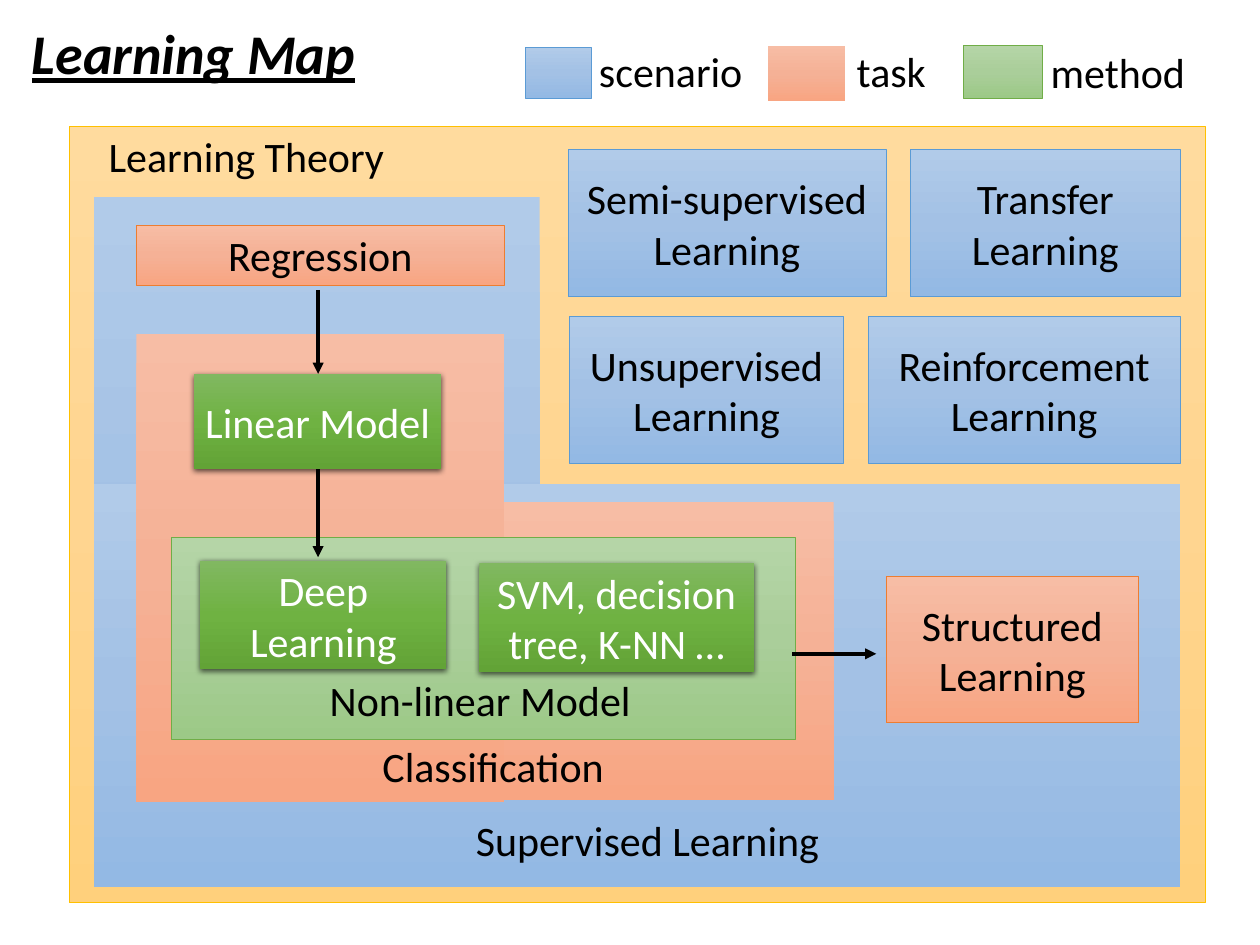
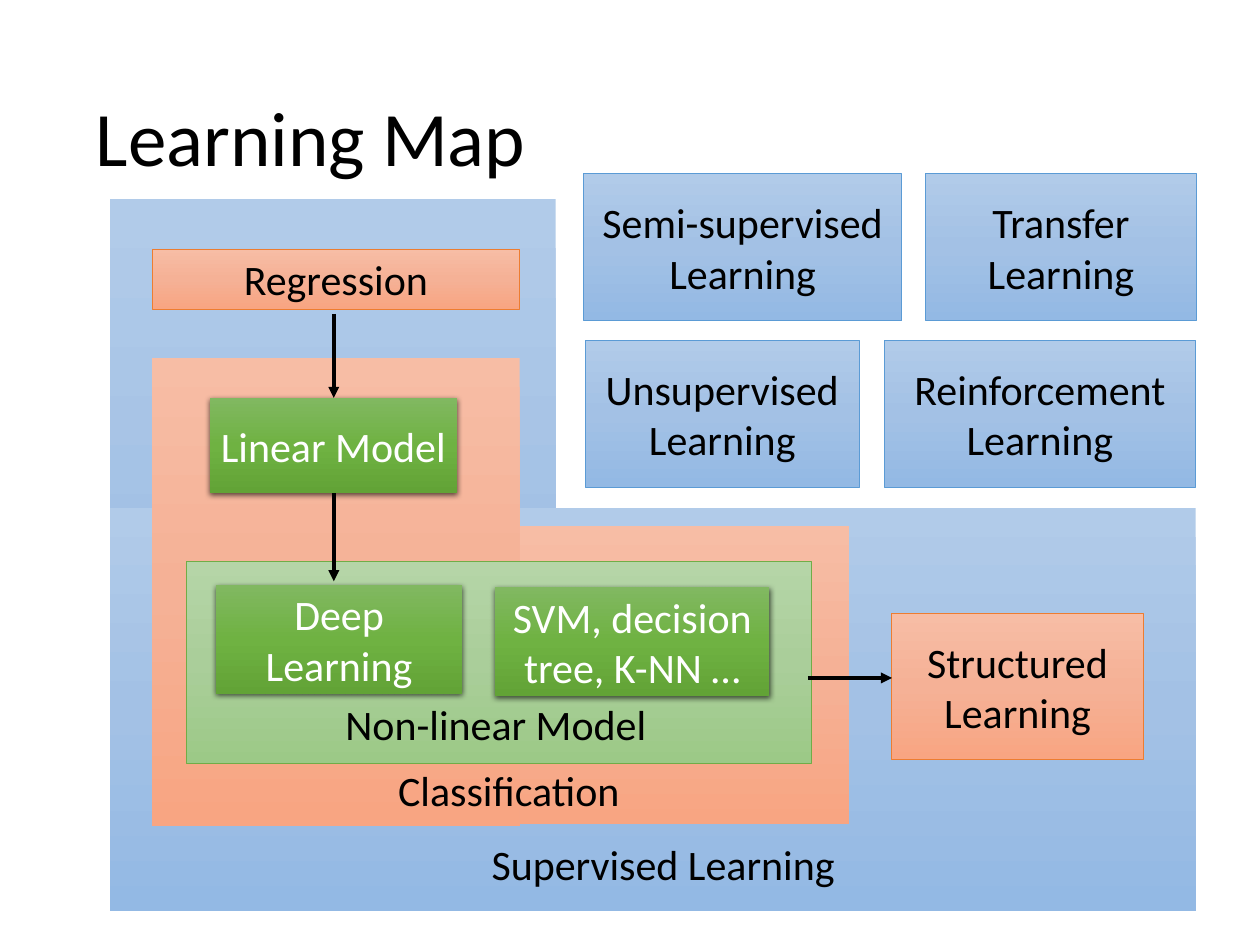
import copy

import pptx
import pptx.dml.color
import pptx.enum.shapes
import pptx.enum.text
import pptx.oxml
import pptx.oxml.ns
import pptx.util

Cm, Pt = pptx.util.Cm, pptx.util.Pt
ALIGN, ANCHOR = pptx.enum.text.PP_ALIGN, pptx.enum.text.MSO_ANCHOR

FONT, TEXT_SIZE = "Calibri", 34.1
LABEL_HEIGHT = 1.73
COLORS = {"text": "000000", "light": "FFFFFF", "theory": "FFC000",
          "scenario": "5B9BD5", "task": "ED7D31", "method": "70AD47"}
GRADIENTS = {
    "theory": ("FFDB9E", "FFD590", "FFD07C"),
    "scenario": ("B1CBE9", "A3C1E5", "93B9E4"),
    "task": ("F7BDA5", "F5B196", "F8A582"),
    "method": ("B5D5A7", "AACE9A", "9CC987"),
    "model": ("81B861", "6FB242", "62A336"),
}

# Left, top, width and height in cm, placed relative to each map's offset
SUPERVISED = (2.69, 13.87, 31.14, 11.58)
CLASSIFICATION = [(5.26, 14.4, 18.64, 8.53), (3.91, 9.58, 10.54, 13.41)]
NON_LINEAR = (4.9, 15.42, 17.91, 5.77)
REGRESSION = (3.91, 6.45, 10.54, LABEL_HEIGHT)
SCENARIO_HEIGHT = 4.22
SCENARIO_ROWS = [
    (4.29, [("Semi-supervised Learning", 16.28, 9.12), ("Transfer Learning", 26.09, 7.75)]),
    (9.07, [("Unsupervised Learning", 16.33, 7.85), ("Reinforcement Learning", 24.89, 8.94)]),
]
MODELS = [
    ("Linear Model", (5.56, 10.72, 7.09, 2.74)),
    ("Deep Learning", (5.74, 16.08, 7.06, 3.12)),
    ("SVM, decision tree, K-NN …", (13.74, 16.15, 7.87, 3.12)),
]
MAP_LABELS = [
    ("Supervised Learning", 11.84, 23.24, 13.44),
    ("Classification", 10.11, 21.11, 8.05),
    ("Non-linear Model", 8.76, 19.23, 10.01),
]
ARROWS = [(9.12, 8.31, 9.12, 10.72), (9.12, 13.46, 9.12, 15.98),
          (22.71, 18.75, 25.12, 18.75)]

THEORY = (1.98, 3.61, 32.56, 22.28)
LEGEND = [
    ("scenario", True, (15.06, 1.35, 1.88, 1.47), (16.92, 1.17, 5.13)),
    ("task", False, (22.02, 1.32, 2.21, 1.57), (24.31, 1.19, 2.84)),
    ("method", True, (27.61, 1.3, 2.26, 1.52), (29.87, 1.22, 5.13)),
]

# The upper supervised block and structured learning sit apart from the offset
MAPS = [
    {"offset": (0, 0), "upper": (2.69, 5.66, 12.78, 19.02),
     "structured": (25.4, 16.54, 7.24, 4.19)},
    {"offset": (0.45, 0.69), "upper": (3.15, 5.72, 12.78, 19.69),
     "structured": (25.55, 17.6, 7.24, 4.19)},
]


def rgb(name):
    return pptx.dml.color.RGBColor.from_string(COLORS.get(name, name))


def shift(box, offset):
    """Move a box, or both ends of a line if it is given as two points."""
    return (box[0] + offset[0], box[1] + offset[1], *box[2:])


def write(shape, text, color="text", align=ALIGN.CENTER, size=TEXT_SIZE):
    frame = shape.text_frame
    frame.word_wrap = True
    frame.text = text
    paragraph = frame.paragraphs[0]
    paragraph.alignment = align
    font = paragraph.font
    font.name, font.size = FONT, Pt(size)
    font.color.rgb = rgb(color)
    return paragraph


def add_box(slide, kind, box, text=None, outline=False):
    shape = slide.shapes.add_shape(
        pptx.enum.shapes.MSO_SHAPE.RECTANGLE, *map(Cm, box))
    shape.shadow.inherit = False
    shape.fill.gradient()
    shape.fill.gradient_angle = 270
    first_stop = next(shape._element.spPr.iter(pptx.oxml.ns.qn("a:gs")))
    first_stop.addnext(copy.deepcopy(first_stop))
    for index, stop in enumerate(shape.fill.gradient_stops):
        stop.position = index / 2
        stop.color.rgb = rgb(GRADIENTS[kind][index])
    if outline:
        shape.line.color.rgb = rgb(kind)
        shape.line.width = Pt(0.5)
    else:
        shape.line.fill.background()
    if text:
        write(shape, text, "light" if kind == "model" else "text")
    return shape


def add_model(slide, box, text):
    shape = add_box(slide, "model", box, text)
    effects = shape._element.spPr.find(pptx.oxml.ns.qn("a:effectLst"))
    effects.append(pptx.oxml.parse_xml(
        f'<a:outerShdw {pptx.oxml.ns.nsdecls("a")} blurRad="57150" dist="19050" '
        'dir="5400000" algn="ctr" rotWithShape="0"><a:srgbClr val="000000">'
        '<a:alpha val="63000"/></a:srgbClr></a:outerShdw>'))


def add_label(slide, text, left, top, width, align=ALIGN.CENTER):
    label = slide.shapes.add_textbox(*map(Cm, (left, top, width, LABEL_HEIGHT)))
    write(label, text, align=align)


def add_arrow(slide, start_x, start_y, end_x, end_y):
    arrow = slide.shapes.add_connector(
        pptx.enum.shapes.MSO_CONNECTOR.STRAIGHT,
        *map(Cm, (start_x, start_y, end_x, end_y)))
    arrow.line.color.rgb = rgb("text")
    arrow.line.width = Pt(3)
    namespace = pptx.oxml.ns.nsdecls("a")
    arrow.line._get_or_add_ln().append(
        pptx.oxml.parse_xml(f'<a:tailEnd {namespace} type="triangle"/>'))
    arrow._element.spPr.append(pptx.oxml.parse_xml(f"<a:effectLst {namespace}/>"))


def set_title(slide, box, size, anchor):
    title = slide.shapes.title
    title.left, title.top, title.width, title.height = map(Cm, box)
    paragraph = write(title, "Learning Map", align=ALIGN.LEFT, size=size)
    title.text_frame.auto_size = pptx.enum.text.MSO_AUTO_SIZE.NONE
    title.text_frame.vertical_anchor = anchor
    return paragraph


def draw_map(slide, offset, upper, structured):
    add_box(slide, "scenario", upper)
    add_box(slide, "scenario", shift(SUPERVISED, offset))
    for box in CLASSIFICATION:
        add_box(slide, "task", shift(box, offset))
    add_box(slide, "task", shift(REGRESSION, offset), "Regression", outline=True)
    add_box(slide, "task", structured, "Structured Learning", outline=True)
    for top, row in SCENARIO_ROWS:
        for text, left, width in row:
            box = shift((left, top, width, SCENARIO_HEIGHT), offset)
            add_box(slide, "scenario", box, text, outline=True)
    add_box(slide, "method", shift(NON_LINEAR, offset), outline=True)
    for text, box in MODELS:
        add_model(slide, shift(box, offset), text)
    for text, *place in MAP_LABELS:
        add_label(slide, text, *shift(place, offset))
    for arrow in ARROWS:
        add_arrow(slide, *shift(arrow[:2], offset), *shift(arrow[2:], offset))


def draw_legend(slide):
    for kind, outline, swatch, label in LEGEND:
        add_box(slide, kind, swatch, outline=outline)
        add_label(slide, kind, *label, align=ALIGN.LEFT)


def main():
    presentation = pptx.Presentation()
    presentation.slide_width, presentation.slide_height = Cm(36.12), Cm(27.1)
    title_only = presentation.slide_layouts[5]
    overview, summary = (presentation.slides.add_slide(title_only) for _ in MAPS)

    title = set_title(overview, (0.66, 0.41, 9.88, 2.21), 45.5, ANCHOR.TOP)
    title.font.bold = title.font.italic = title.font.underline = True
    add_box(overview, "theory", THEORY, outline=True)
    draw_map(overview, **MAPS[0])
    draw_legend(overview)
    add_label(overview, "Learning Theory", 2.69, 3.61, 8.74)

    title = set_title(summary, (2.49, 1.45, 31.17, 5.23), 62.6, ANCHOR.MIDDLE)
    title.line_spacing = 0.9
    draw_map(summary, **MAPS[1])

    presentation.save("out.pptx")


if __name__ == "__main__":
    main()
